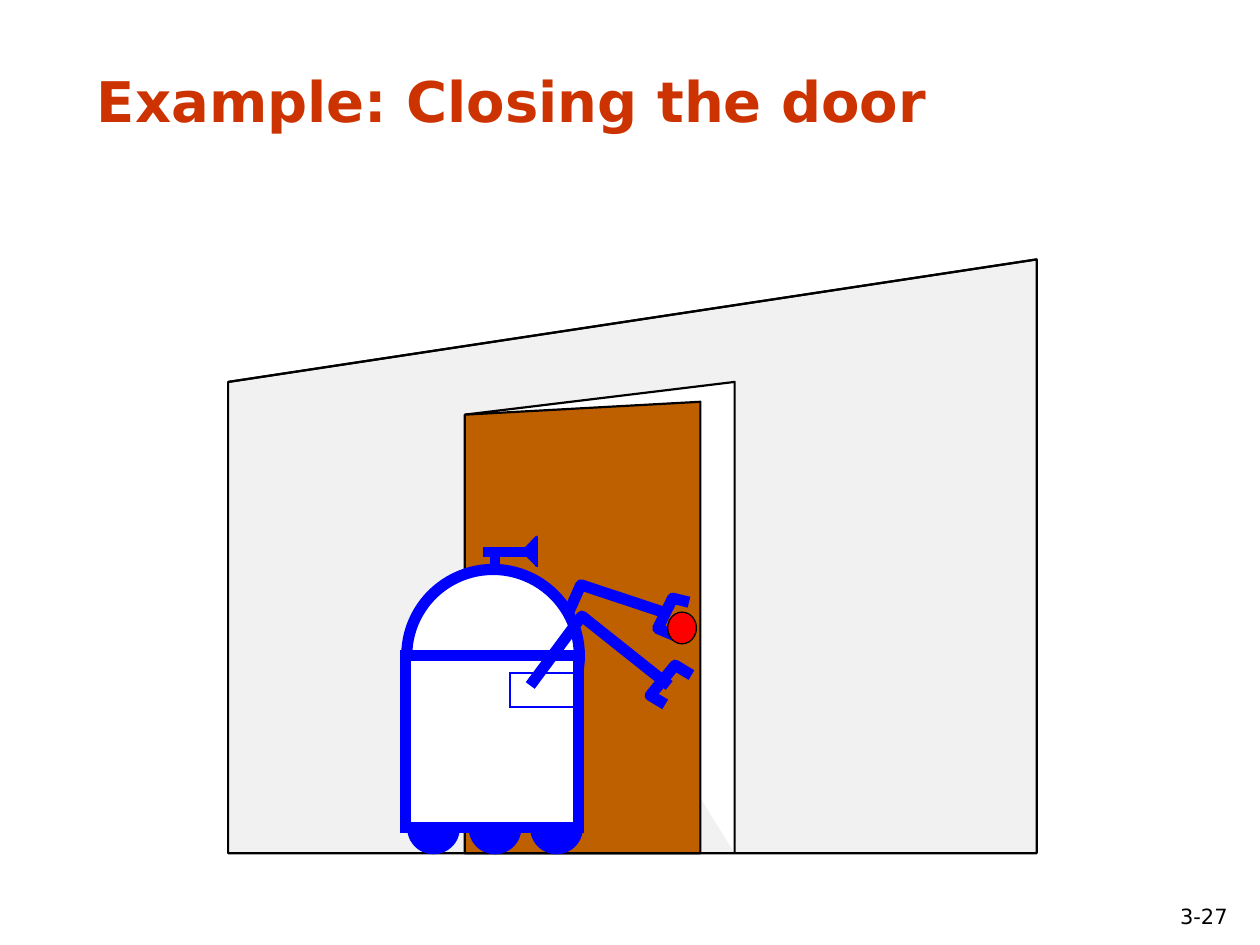
from lxml import etree
from pptx import Presentation
from pptx.dml.color import RGBColor
from pptx.enum.shapes import MSO_CONNECTOR, MSO_SHAPE
from pptx.enum.text import MSO_ANCHOR, MSO_AUTO_SIZE, PP_ALIGN
from pptx.oxml.ns import qn
from pptx.util import Cm, Pt

RECT, OVAL = MSO_SHAPE.RECTANGLE, MSO_SHAPE.OVAL
STRAIGHT = MSO_CONNECTOR.STRAIGHT
LEFT, RIGHT = PP_ALIGN.LEFT, PP_ALIGN.RIGHT
BOTTOM, TOP = MSO_ANCHOR.BOTTOM, MSO_ANCHOR.TOP
GROW = MSO_AUTO_SIZE.SHAPE_TO_FIT_TEXT

# Content: texts with box in cm
TITLE = "Example: Closing the door"
TITLE_BOX = (1.7, 1.22, 23.39, 1.6)
NUMBER = "3-27"
NUMBER_BOX = (22.38, 18.14, 2.62, 0.79)
TITLE_FONT = {"name": "DejaVu Sans", "size": Pt(32), "bold": True}
NUMBER_FONT = {"name": "DejaVu Sans", "size": Pt(12), "bold": False}

# Colours and line widths in points
BLACK, WHITE, BLUE, RED = "000000", "FFFFFF", "0000FF", "FF0000"
ORANGE, WALL_GREY, DOOR_BROWN = "CC3300", "F1F1F1", "BE5F00"
HAIR, THIN, THICK = 0.75, 1.25, 6.38

# Outlines in cm
FLOOR = 17.2
WALL_LEFT, WALL_RIGHT = (4.6, 7.7), (20.9, 5.23)
WALL = [(4.6, FLOOR), WALL_LEFT, WALL_RIGHT, (20.9, FLOOR), (4.6, FLOOR)]
HINGE = (9.37, 8.36)
OPENING = [HINGE, (14.81, 7.7), (14.81, FLOOR)]
DOOR = [(9.37, FLOOR), HINGE, (14.12, 8.1), (14.12, FLOOR)]
LENS = [(10.52, 11.13), (10.82, 10.82), (10.82, 11.43)]
BACK_ARM = [(10.85, 13.74), (11.71, 11.79), (13.46, 12.37)]
FRONT_ARM = [(10.69, 13.82), (11.73, 12.42), (13.49, 13.82)]
LOWER_GRIP = [(13.41, 14.2), (13.11, 14.02), (13.61, 13.41), (13.94, 13.61)]
UPPER_GRIP = [(13.64, 12.83), (13.26, 12.67), (13.56, 12.06), (13.89, 12.14)]

# Boxes in cm: left, top, width, height
BODY_SIZE = 3.48
DOME = (8.2, 11.48, BODY_SIZE, BODY_SIZE)
BODY = (8.18, 13.21, BODY_SIZE, BODY_SIZE)
PANEL = (10.29, 13.56, 1.37, 0.69)
CAMERA_POST = (9.91, 11.2, 0.15, 0.3)
CAMERA_BAR = (9.75, 11.05, 0.91, 0.15)
KNOB = (13.46, 12.34, 0.58, 0.64)
WHEEL, WHEEL_LEFT, WHEEL_STEP, WHEELS = 1.02, 8.23, 1.24, 3


def colour(code):
    return RGBColor.from_string(code)


def paint(shape, fill, line, width):
    shape.shadow.inherit = False
    if fill:
        shape.fill.solid()
        shape.fill.fore_color.rgb = colour(fill)
    else:
        shape.fill.background()
    if line:
        shape.line.color.rgb = colour(line)
        shape.line.width = Pt(width)
    else:
        shape.line.fill.background()


def outline(group, points, fill=None, line=None, width=THIN, close=False):
    places = [(Cm(x), Cm(y)) for x, y in points]
    builder = group.shapes.build_freeform(*places[0])
    builder.add_line_segments(places[1:], close=close)
    paint(builder.convert_to_shape(), fill, line, width)


def preset(group, kind, place, fill=None, line=None, width=THIN):
    shape = group.shapes.add_shape(kind, *map(Cm, place))
    paint(shape, fill, line, width)
    if kind == RECT and line:  # square corners
        etree.SubElement(shape.line._get_or_add_ln(), qn("a:miter"), lim="800000")


def edge(group, start, end):
    line = group.shapes.add_connector(STRAIGHT, *map(Cm, start + end))
    line.line.color.rgb = colour(BLACK)
    line.line.width = Pt(THIN)
    etree.SubElement(line._element.spPr, qn("a:effectLst"))


def write(box, place, text, font, code, align, anchor):
    box.left, box.top, box.width, box.height = map(Cm, place)
    frame = box.text_frame
    frame.word_wrap, frame.auto_size, frame.vertical_anchor = True, GROW, anchor
    para = frame.paragraphs[0]
    para.alignment = align
    span = para.add_run()
    span.text = text
    for name, value in font.items():
        setattr(span.font, name, value)
    span.font.color.rgb = colour(code)
    return para


def draw_room(group):
    outline(group, WALL, fill=WALL_GREY, close=True)
    outline(group, WALL, line=BLACK)
    outline(group, OPENING, fill=WHITE, close=True)
    outline(group, OPENING, line=BLACK)
    outline(group, DOOR, fill=DOOR_BROWN, line=BLACK, close=True)
    edge(group, WALL[0], WALL[3])
    edge(group, WALL_LEFT, WALL_RIGHT)


def draw_robot(group):
    # Camera and rear arm
    for place in (CAMERA_POST, CAMERA_BAR):
        preset(group, RECT, place, BLUE, BLUE)
    outline(group, LENS, fill=BLUE, close=True)
    outline(group, LENS, line=BLUE)
    outline(group, BACK_ARM, line=BLUE, width=THICK)
    # Dome, wheels and body
    preset(group, OVAL, DOME, WHITE, BLUE, THICK)
    for index in range(WHEELS):
        left = WHEEL_LEFT + index * WHEEL_STEP
        preset(group, OVAL, (left, FLOOR - WHEEL, WHEEL, WHEEL), BLUE, BLUE)
    preset(group, RECT, BODY, fill=WHITE)
    preset(group, RECT, BODY, line=BLUE, width=THICK)
    preset(group, RECT, PANEL, line=BLUE)
    # Front arm and grippers
    for points in (FRONT_ARM, LOWER_GRIP, UPPER_GRIP):
        outline(group, points, line=BLUE, width=THICK)


def main():
    deck = Presentation()
    deck.slide_width, deck.slide_height = Cm(25.4), Cm(19.05)
    page = deck.slides.add_slide(deck.slide_layouts[5])

    # Title and slide number
    write(page.shapes.title, TITLE_BOX, TITLE, TITLE_FONT, ORANGE, LEFT, BOTTOM)
    number = page.shapes.add_textbox(0, 0, 0, 0)
    para = write(number, NUMBER_BOX, NUMBER, NUMBER_FONT, BLACK, RIGHT, TOP)
    para.line_spacing, para.space_before = 0.9, Pt(3)

    # Drawing
    group = page.shapes.add_group_shape()
    draw_room(group)
    draw_robot(group)
    preset(group, OVAL, KNOB, RED, BLACK, HAIR)

    deck.save("out.pptx")


if __name__ == "__main__":
    main()
